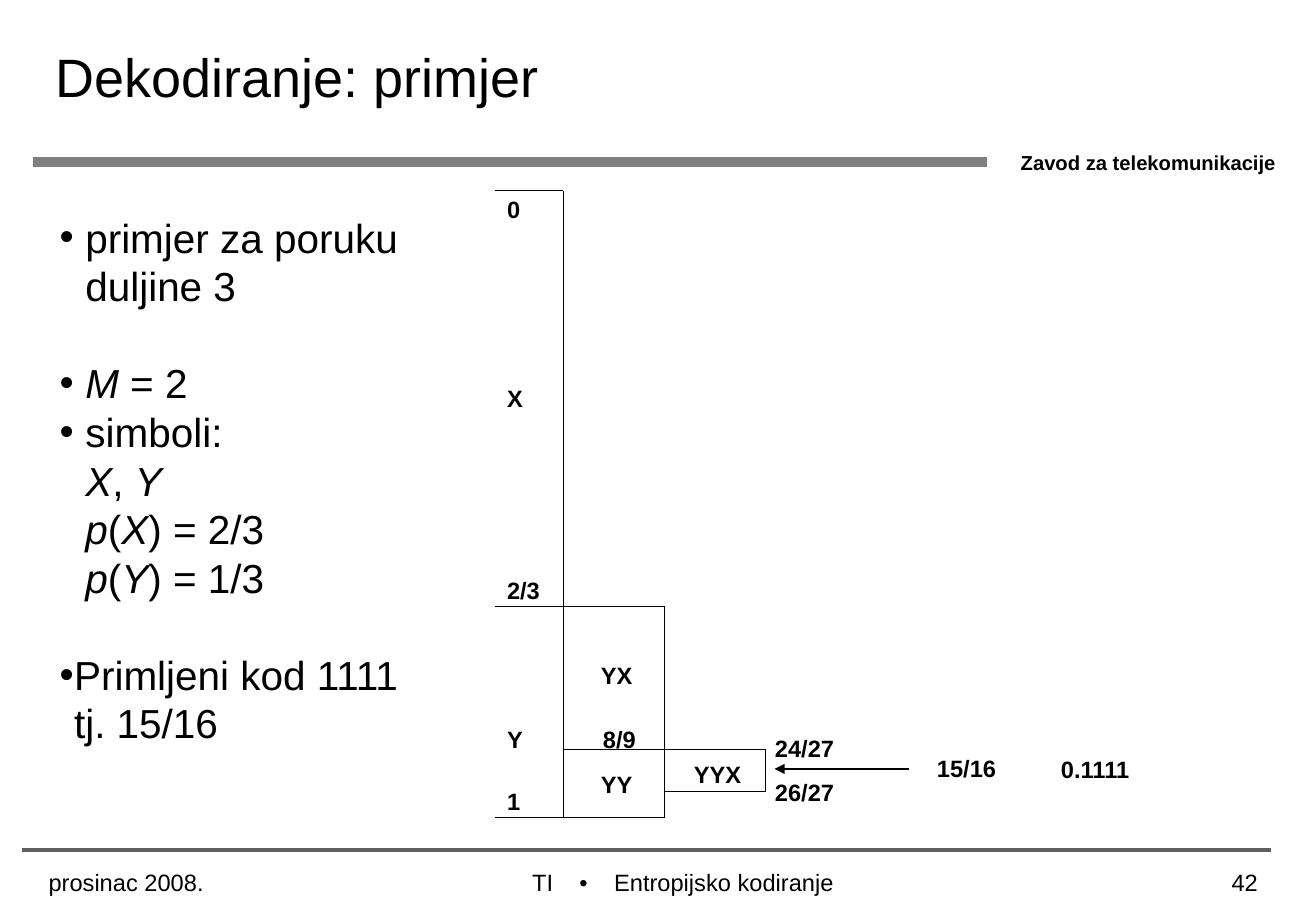
from lxml.etree import SubElement
from pptx import Presentation
from pptx.dml.color import RGBColor
from pptx.enum.shapes import MSO_CONNECTOR as Connector
from pptx.enum.text import MSO_ANCHOR as Anchor, MSO_AUTO_SIZE as AutoSize, PP_ALIGN as Align
from pptx.oxml.ns import qn
from pptx.util import Pt

# Content: asterisks enclose italics, \n breaks a line
TITLE = "Dekodiranje: primjer"
DEPARTMENT = "Zavod za telekomunikacije"
DATE = "prosinac 2008."
COURSE = "TI\t•\tEntropijsko kodiranje"
PAGE = "42"
POINTS = [  # text, hanging indent, space before
    ("primjer za poruku duljine 3", 15.3, 0),
    ("*M* = 2", 15.3, 28.8),
    ("simboli:\n*X*, *Y*\n*p*(*X*) = 2/3\n*p*(*Y*) = 1/3", 15.3, 0),
    ("Primljeni kod 1111 tj. 15/16", 8.64, 28.8),
]
COLORS = {"text": "000000", "header_rule": "808080", "footer_rule": "5F5F5F"}
FONT = "Arial"

# Interval diagram: column edges and interval bounds
EDGE, FIRST, SECOND, THIRD = 293.8, 334, 394, 454
BOUNDS = {"0": 113, "2/3": 359.3, "24/27": 444.2, "26/27": 469.4, "1": 484.6}
LABELS = [  # text, left, vertical centre
    ("0", 300.7, 124), ("X", 300.7, 236), ("2/3", 300.7, 350),
    ("Y", 300.7, 438), ("1", 300.7, 475),
    ("YX", 356.4, 400.3), ("8/9", 357.6, 438.2), ("YY", 356.4, 465),
    ("YYX", 411.6, 459),
    ("24/27", 459.6, 443.6), ("26/27", 459.6, 469.7),
    ("15/16", 555.7, 455), ("0.1111", 629.2, 456),
]
ARROW_Y = 455.8

deck = Presentation()
deck.slide_width, deck.slide_height = Pt(780.48), Pt(540)
slide = deck.slides.add_slide(deck.slide_layouts[1])


def write(paragraph, text, size=14, bold=False, align=Align.LEFT, before=0,
          spacing=None, hanging=0, tabs=()):
    """Fill one paragraph; a hanging indent gives it a bullet."""
    paragraph.alignment = align
    paragraph.space_before = Pt(before)
    if spacing:
        paragraph.line_spacing = Pt(spacing)
    properties = paragraph._p.get_or_add_pPr()
    if hanging:
        properties.set("marL", str(Pt(hanging)))
        properties.set("indent", str(-Pt(hanging)))
        SubElement(properties, qn("a:buFont"), typeface=FONT)
        SubElement(properties, qn("a:buChar"), char="•")
    if tabs:
        stops = SubElement(properties, qn("a:tabLst"))
        for stop in tabs:
            SubElement(stops, qn("a:tab"), pos=str(Pt(stop)), algn="l")
    for row, line in enumerate(text.split("\n")):
        if row:
            paragraph.add_line_break()
        for part, words in enumerate(line.split("*")):
            if words:
                run = paragraph.add_run()
                run.text = words
                run.font.name, run.font.size = FONT, Pt(size)
                run.font.bold, run.font.italic = bold, part % 2 == 1
                run.font.color.rgb = RGBColor.from_string(COLORS["text"])


def prepare(box, left, top, width, height, anchor=Anchor.MIDDLE):
    box.left, box.top, box.width, box.height = map(Pt, (left, top, width, height))
    frame = box.text_frame
    frame.margin_left = frame.margin_right = frame.margin_top = frame.margin_bottom = 0
    frame.word_wrap = True
    frame.auto_size = AutoSize.NONE
    frame.vertical_anchor = anchor
    return frame


def label(text, left, middle, width=60, **style):
    box = slide.shapes.add_textbox(0, 0, 0, 0)
    frame = prepare(box, left, middle - 10, width, 20)
    write(frame.paragraphs[0], text, **style)


def rule(x1, y1, x2, y2, weight=0.75, color="text", arrow=False):
    line = slide.shapes.add_connector(Connector.STRAIGHT, *map(Pt, (x1, y1, x2, y2)))
    line.line.width = Pt(weight)
    line.line.color.rgb = RGBColor.from_string(COLORS[color])
    if arrow:
        SubElement(line.line._get_or_add_ln(), qn("a:tailEnd"), type="triangle")
    SubElement(line._element.spPr, qn("a:effectLst"))


# Header
rule(19.6, 96.2, 585.6, 96.2, weight=6, color="header_rule")
label(DEPARTMENT, 605.4, 96, width=172, size=12, bold=True)
title = prepare(slide.shapes.title, 33.1, 0, 650, 90)
write(title.paragraphs[0], TITLE, size=32)

# Bullet list
points = prepare(slide.placeholders[1], 35.3, 126, 210.6, 317, Anchor.TOP)
for number, (text, hanging, before) in enumerate(POINTS):
    paragraph = points.add_paragraph() if number else points.paragraphs[0]
    write(paragraph, text, size=24, hanging=hanging, before=before, spacing=28.8)

# Interval diagram
for left, right, bound, weight in [
    (EDGE, FIRST, "0", 0.75), (EDGE, SECOND, "2/3", 0.25), (FIRST, THIRD, "24/27", 0.75),
    (SECOND, THIRD, "26/27", 0.75), (EDGE, SECOND, "1", 0.75),
]:
    rule(left, BOUNDS[bound], right, BOUNDS[bound], weight=weight)
for x, start, end in [(FIRST, "0", "1"), (SECOND, "2/3", "1"), (THIRD, "24/27", "26/27")]:
    rule(x, BOUNDS[start], x, BOUNDS[end])
rule(539.3, ARROW_Y, 459.4, ARROW_Y, arrow=True)
for text, left, middle in LABELS:
    label(text, left, middle, bold=True)

# Footer
rule(13, 504, 753.8, 504, weight=2.25, color="footer_rule")
label(DATE, 28.8, 523, width=126)
label(COURSE, 315.6, 523, width=240, tabs=(28, 48.6))
label(PAGE, 686, 523, align=Align.RIGHT)

deck.save("out.pptx")
